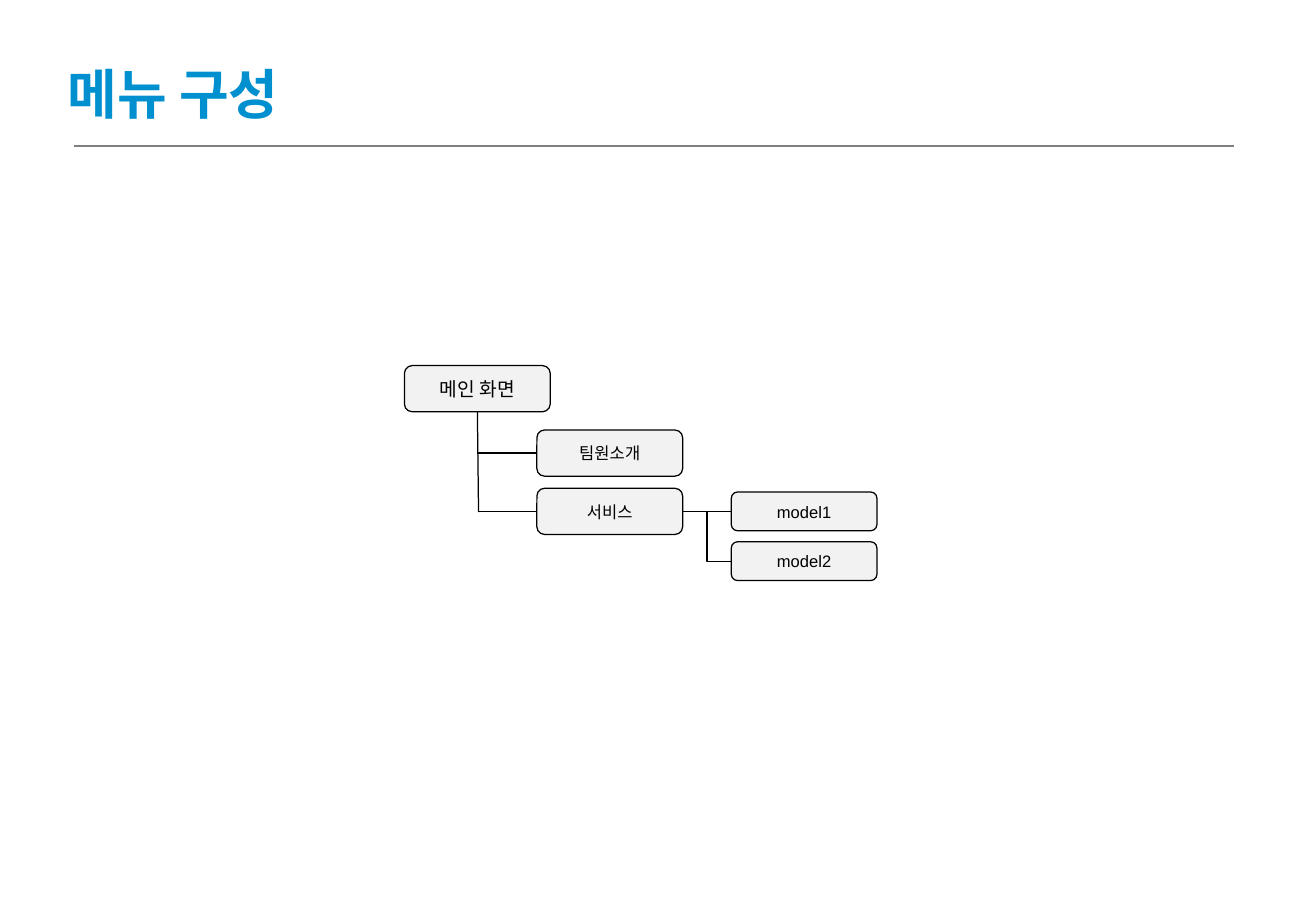
"""Build the menu structure slide."""
from dataclasses import dataclass
from typing import Optional

from lxml.etree import SubElement
from pptx import Presentation
from pptx.dml.color import RGBColor
from pptx.enum.shapes import MSO_CONNECTOR, MSO_SHAPE
from pptx.enum.text import MSO_ANCHOR, MSO_AUTO_SIZE, PP_ALIGN
from pptx.oxml.ns import qn
from pptx.shapes.autoshape import Shape
from pptx.shapes.connector import Connector
from pptx.slide import Slide
from pptx.text.text import _Paragraph as Paragraph
from pptx.util import Pt


@dataclass(frozen=True)
class Theme:
    """Colours, fonts and type sizes."""
    title_color: RGBColor = RGBColor(0x00, 0x90, 0xD0)
    rule_color: RGBColor = RGBColor(0x7F, 0x7F, 0x7F)
    ink: RGBColor = RGBColor(0x00, 0x00, 0x00)
    node_fill: RGBColor = RGBColor(0xF2, 0xF2, 0xF2)
    title_font: str = "Calibri"
    node_font: str = "Arial"
    title_size: float = 32
    root_size: float = 11.4
    node_size: float = 9.8
    rule_width: float = 1.5
    line_width: float = 0.75


@dataclass(frozen=True)
class Node:
    """A menu entry, placed by its left edge and vertical centre."""
    label: str
    left: float
    middle: float
    height: float
    size: float


@dataclass(frozen=True)
class Link:
    """A line between two points, each optionally joined to a node's side."""
    start: tuple[float, float] = (0, 0)
    end: tuple[float, float] = (0, 0)
    source: Optional[str] = None
    source_side: int = 3
    target: Optional[str] = None
    kind: MSO_CONNECTOR = MSO_CONNECTOR.STRAIGHT


THEME = Theme()
NODE_WIDTH = 86.4
ROOT_LEFT, PAGE_LEFT, MODEL_LEFT = 239.76, 318.24, 433.44
INTRO_MIDDLE, SERVICE_MIDDLE, MODEL_STEP = 268.56, 303.12, 29.52
PAGE_HEIGHT, MODEL_HEIGHT = 27.36, 23.04
TRUNK = ROOT_LEFT + NODE_WIDTH / 2

NODES = [
    Node("메인 화면", ROOT_LEFT, 230.4, PAGE_HEIGHT, THEME.root_size),
    Node("팀원소개", PAGE_LEFT, INTRO_MIDDLE, PAGE_HEIGHT, THEME.node_size),
    Node("서비스", PAGE_LEFT, SERVICE_MIDDLE, PAGE_HEIGHT, THEME.node_size),
    Node("model1", MODEL_LEFT, SERVICE_MIDDLE, MODEL_HEIGHT, THEME.node_size),
    Node("model2", MODEL_LEFT, SERVICE_MIDDLE + MODEL_STEP, MODEL_HEIGHT, THEME.node_size),
]
LINKS = [
    Link(source="서비스", target="model2", kind=MSO_CONNECTOR.ELBOW),
    Link(source="서비스", target="model1"),
    Link(start=(TRUNK, INTRO_MIDDLE), target="팀원소개"),
    Link(start=(TRUNK + 0.7, SERVICE_MIDDLE), target="서비스"),
    Link(end=(TRUNK + 0.7, SERVICE_MIDDLE + 0.5), source="메인 화면", source_side=2),
]


def set_font(para: Paragraph, name: str, size: float, color: RGBColor) -> None:
    """Set the font of a whole paragraph."""
    para.font.name = name
    para.font.size = Pt(size)
    para.font.color.rgb = color


def add_title(page: Slide, text: str) -> None:
    """Add the slide title."""
    box = page.shapes.add_textbox(Pt(33), Pt(32.4), Pt(151.2), Pt(46.1))
    box.text_frame.word_wrap = True
    box.text_frame.auto_size = MSO_AUTO_SIZE.SHAPE_TO_FIT_TEXT
    para = box.text_frame.paragraphs[0]
    para.text = text
    para.font.bold = True
    set_font(para, THEME.title_font, THEME.title_size, THEME.title_color)


def add_node(page: Slide, node: Node) -> Shape:
    """Draw one menu entry."""
    box = page.shapes.add_shape(
        MSO_SHAPE.ROUNDED_RECTANGLE, Pt(node.left), Pt(node.middle - node.height / 2),
        Pt(NODE_WIDTH), Pt(node.height))
    box.shadow.inherit = False
    box.fill.solid()
    box.fill.fore_color.rgb = THEME.node_fill
    box.line.color.rgb = THEME.ink
    box.line.width = Pt(THEME.line_width)
    box.text_frame.word_wrap = True
    box.text_frame.vertical_anchor = MSO_ANCHOR.MIDDLE
    para = box.text_frame.paragraphs[0]
    para.text = node.label
    para.alignment = PP_ALIGN.CENTER
    set_font(para, THEME.node_font, node.size, THEME.ink)
    return box


def add_line(page: Slide, link: Link, color: RGBColor, width: float) -> Connector:
    """Draw one line without a shadow."""
    line = page.shapes.add_connector(
        link.kind, *(Pt(value) for value in (*link.start, *link.end)))
    line.line.color.rgb = color
    line.line.width = Pt(width)
    SubElement(line._element.spPr, qn("a:effectLst"))
    return line


def add_link(page: Slide, link: Link, boxes: dict[str, Shape]) -> None:
    """Draw one link and join it to its nodes."""
    line = add_line(page, link, THEME.ink, THEME.line_width)
    if link.source:
        line.begin_connect(boxes[link.source], link.source_side)
    if link.target:
        line.end_connect(boxes[link.target], 1)


def main() -> None:
    """Build and save the deck."""
    deck = Presentation()
    deck.slide_width, deck.slide_height = Pt(780), Pt(540)
    page = deck.slides.add_slide(deck.slide_layouts[6])
    add_title(page, "메뉴 구성")
    add_line(page, Link((44, 86.6), (731.5, 86.6)), THEME.rule_color, THEME.rule_width)
    boxes = {node.label: add_node(page, node) for node in NODES}
    for link in LINKS:
        add_link(page, link, boxes)
    deck.save("out.pptx")


if __name__ == "__main__":
    main()
